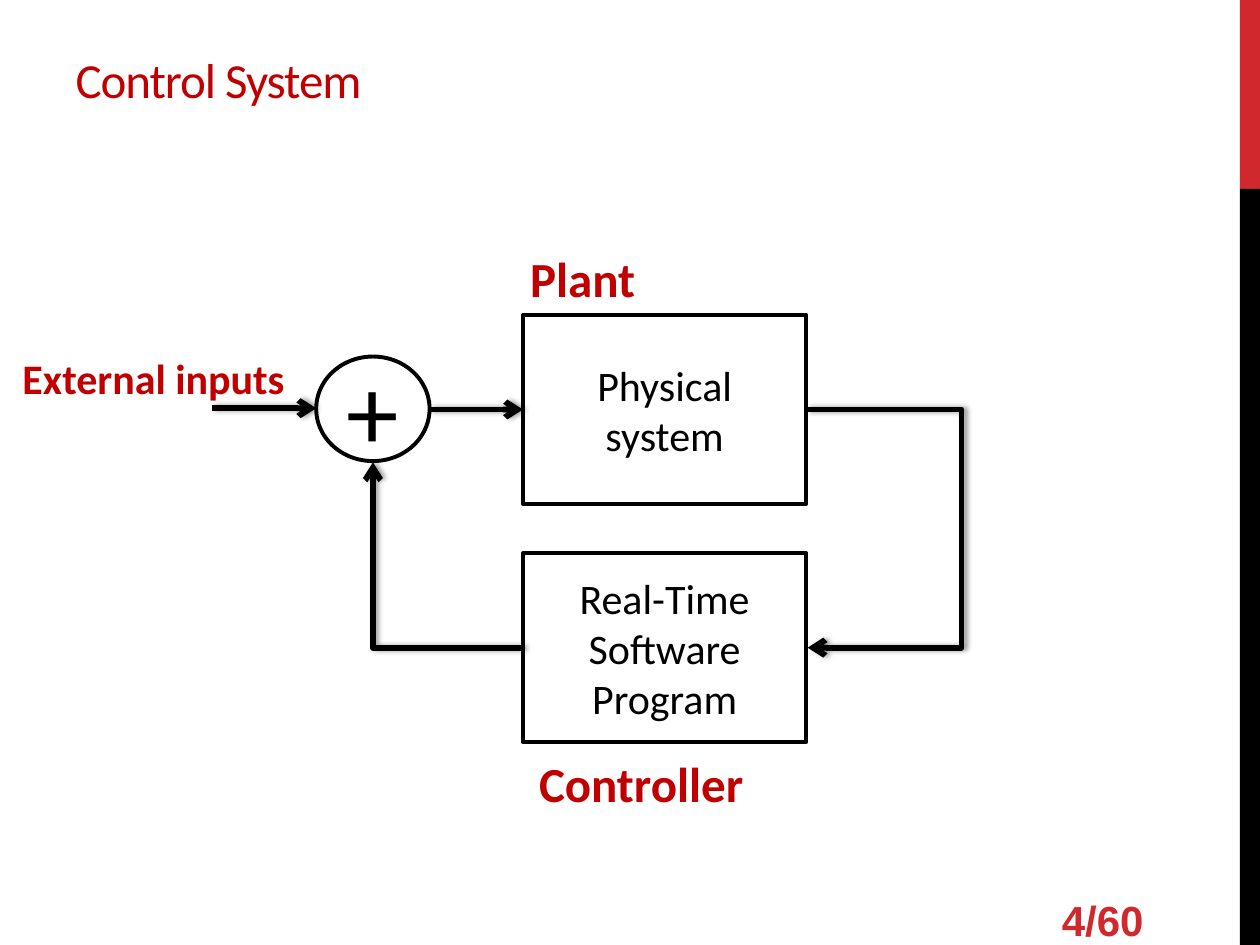
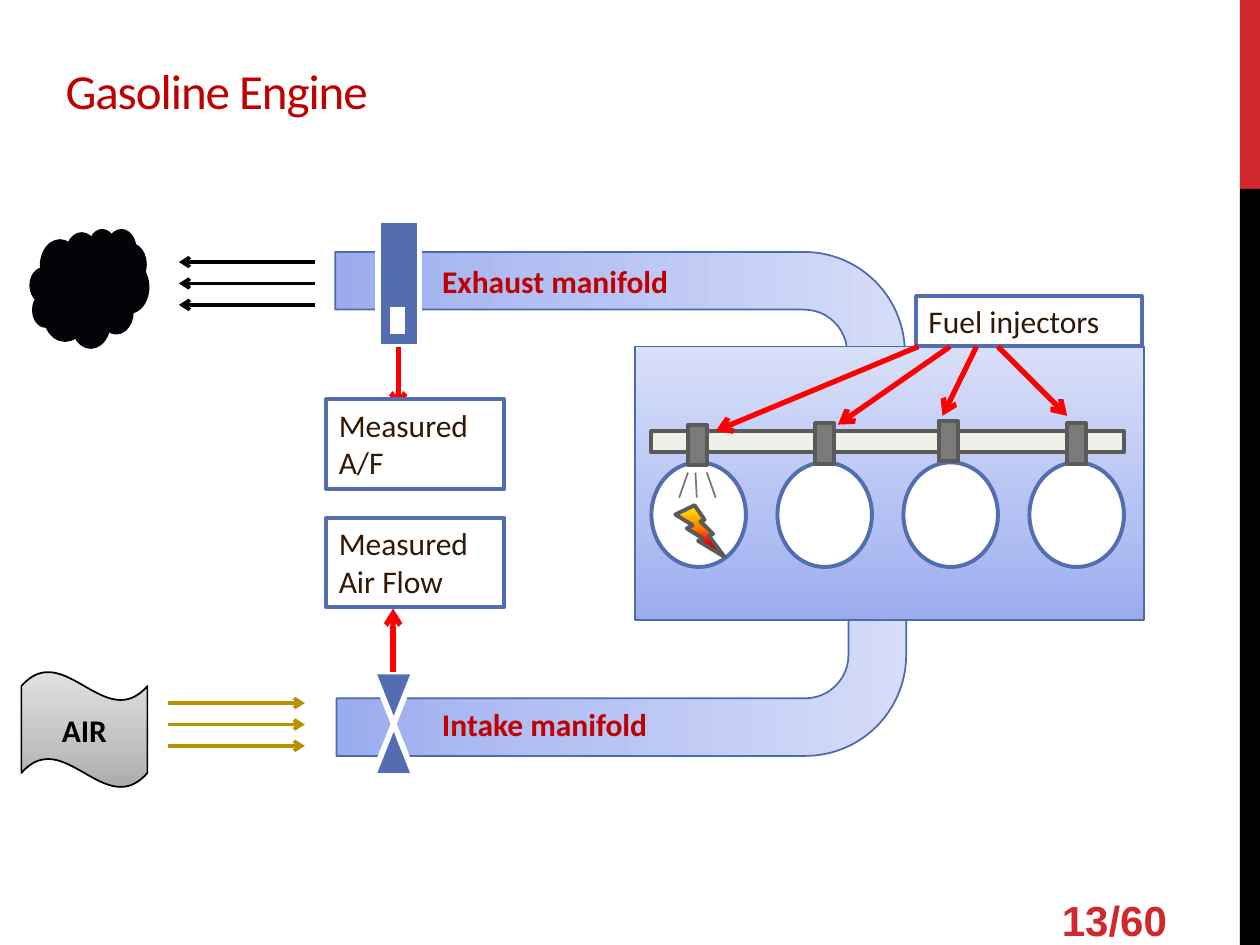
from lxml import etree
from pptx import Presentation
from pptx.dml.color import RGBColor
from pptx.enum.shapes import MSO_CONNECTOR, MSO_SHAPE
from pptx.enum.text import MSO_ANCHOR, MSO_AUTO_SIZE, PP_ALIGN
from pptx.oxml.ns import qn
from pptx.util import Pt

PX = 9144
RECT, OVAL = MSO_SHAPE.RECTANGLE, MSO_SHAPE.OVAL
BENT_ARROW, BOLT = MSO_SHAPE.BENT_ARROW, MSO_SHAPE.LIGHTNING_BOLT
COLLATE, CLOUD, WAVE = MSO_SHAPE.FLOWCHART_COLLATE, MSO_SHAPE.CLOUD, MSO_SHAPE.WAVE
STRAIGHT, ELBOW = MSO_CONNECTOR.STRAIGHT, MSO_CONNECTOR.ELBOW
TOP, MIDDLE, BOTTOM = MSO_ANCHOR.TOP, MSO_ANCHOR.MIDDLE, MSO_ANCHOR.BOTTOM
LEFT, CENTER = PP_ALIGN.LEFT, PP_ALIGN.CENTER
FIXED, GROW = MSO_AUTO_SIZE.NONE, MSO_AUTO_SIZE.SHAPE_TO_FIT_TEXT

COLORS = {
    "white": "FFFFFF", "black": "000000", "band": "D1282E", "heading": "C00000",
    "steel": "526DB0", "pipe": "4E6AAE", "smoke": "020306", "air": "B89101",
    "signal": "FF0000", "note": "341806", "rail": "F0F0E9", "metal": "7A7A7A",
    "edge": "5A5A5A", "spray": "777777",
}
PIPE_FADE = [(0, "9AACED"), (35, "B2C0F3"), (100, "D8DFF9")]
AIR_FADE = [(0, "ABABAB"), (35, "C1C1C1"), (100, "E1E1E1")]
FIRE_FADE = [(0, "FFF200"), (45, "FF7A00"), (70, "FF0300"), (100, "4D0808")]


def rgb(name):
    """Return the named colour."""
    return RGBColor.from_string(COLORS[name])


def write(frame, text, size, color, bold=False, font="Calibri", align=LEFT, anchor=TOP):
    """Fill a text frame with one formatted paragraph."""
    frame.text = text
    frame.vertical_anchor = anchor
    paragraph = frame.paragraphs[0]
    paragraph.alignment = align
    for run in paragraph.runs:
        run.font.name, run.font.size, run.font.bold = font, Pt(size), bold
        run.font.color.rgb = rgb(color)


def fade(shape, stops, angle):
    """Give a shape a linear gradient; the angle runs counter-clockwise."""
    shape.fill.gradient()
    shape.fill.gradient_angle = angle
    stop_list = next(shape.element.iter(qn("a:gsLst")))
    for stop in list(stop_list):
        stop_list.remove(stop)
    for position, color in stops:
        stop = etree.SubElement(stop_list, qn("a:gs"), pos=str(position * 1000))
        etree.SubElement(stop, qn("a:srgbClr"), val=color)


class Region:
    """A part of a slide whose contents are placed from its top left corner."""

    def __init__(self, shapes, left, top):
        """Remember the shape collection and the corner."""
        self.shapes, self.left, self.top = shapes, left, top

    def emu(self, x, y):
        """Turn a point of the region into slide units."""
        return (self.left + x) * PX, (self.top + y) * PX

    def group(self):
        """Return a grouped region with the same corner."""
        return Region(self.shapes.add_group_shape().shapes, self.left, self.top)

    def block(self, kind, x, y, w, h, fill=None, line=None, width=2.25):
        """Draw a preset shape."""
        shape = self.shapes.add_shape(kind, *self.emu(x, y), w * PX, h * PX)
        shape.shadow.inherit = False
        if fill:
            shape.fill.solid()
            shape.fill.fore_color.rgb = rgb(fill)
        if line:
            shape.line.color.rgb = rgb(line)
            shape.line.width = Pt(width)
        else:
            shape.line.fill.background()
        return shape

    def label(self, text, x, y, w, h, size):
        """Write a bold red label on one line."""
        frame = self.shapes.add_textbox(*self.emu(x, y), w * PX, h * PX).text_frame
        frame.word_wrap = False
        frame.auto_size = GROW
        write(frame, text, size, "heading", bold=True)

    def note(self, text, x, y, w, h):
        """Draw a framed note."""
        frame = self.block(RECT, x, y, w, h, "white", "steel").text_frame
        frame.word_wrap = True
        write(frame, text, 18, "note")

    def line(self, start, end, color, width, arrow=True, kind=STRAIGHT, shadow=False):
        """Draw a connector, with an arrowhead at its end if wanted."""
        wire = self.shapes.add_connector(kind, *self.emu(*start), *self.emu(*end))
        wire.line.color.rgb = rgb(color)
        wire.line.width = Pt(width)
        properties = wire.element.spPr
        if arrow:
            etree.SubElement(properties.find(qn("a:ln")), qn("a:tailEnd"), type="arrow")
        effects = etree.SubElement(properties, qn("a:effectLst"))
        if shadow:
            cast = etree.SubElement(effects, qn("a:outerShdw"), blurRad="39370",
                                    dist="22860", dir="0", rotWithShape="0")
            black = etree.SubElement(cast, qn("a:srgbClr"), val=COLORS["black"])
            etree.SubElement(black, qn("a:alpha"), val="40000")
        return wire


def add_bands(slide):
    """Put the red and black side bands on the layout of the slide."""
    side = Region(slide.shapes, 984, 0)
    for top, height, color in ((0, 150, "band"), (150, 600, "black")):
        band = side.block(RECT, 0, top, 16, height, color)
        slide.slide_layout.shapes.element.append(band.element)


def start_slide(deck, heading, left, height, page):
    """Add a slide with its title and page count."""
    slide = deck.slides.add_slide(deck.slide_layouts[5])
    title = slide.shapes.title
    title.left, title.top, title.width, title.height = (
        n * PX for n in (left, 33, 633, height))
    title.text_frame.auto_size = FIXED
    write(title.text_frame, heading, 28, "heading", anchor=BOTTOM)
    for properties in title.element.iter(qn("a:rPr")):
        properties.set("spc", "-60")
    count = slide.shapes.add_textbox(833 * PX, 710 * PX, 144 * PX, 40 * PX).text_frame
    count.word_wrap = True
    write(count, f"{page}/60", 24, "band", bold=True, font="Arial", anchor=MIDDLE)
    return slide


def control_loop(shapes, left, top):
    """Draw the feedback loop of plant and controller."""
    loop = Region(shapes, left, top)
    for kind, text, size, box in (
            (RECT, "Real-Time Software Program", 24, (407, 247, 225, 150)),
            (RECT, "Physical system", 24, (407, 58, 225, 150)),
            (OVAL, "+", 60, (243, 91, 90, 83))):
        frame = loop.block(kind, *box, "white", "black").text_frame
        frame.word_wrap = True
        write(frame, text, size, "black", align=CENTER, anchor=MIDDLE)

    def wire(start, end, kind=STRAIGHT):
        return loop.line(start, end, "black", 3.25, kind=kind, shadow=True)

    wire((160, 132), (243, 132))
    wire((333, 133), (407, 133))
    output = wire((632, 133), (633, 322), ELBOW)
    adjustments = next(output.element.iter(qn("a:avLst")))
    etree.SubElement(adjustments, qn("a:gd"), name="adj1", fmla="val 12500000")
    feedback = wire((288, 175), (407, 322), ELBOW)
    feedback.element.spPr.find(qn("a:xfrm")).set("rot", "10800000")
    next(feedback.element.iter(qn("a:prstGeom"))).set("prst", "bentConnector2")

    loop.label("Plant", 403, 0, 105, 57, 28)
    loop.label("Controller", 410, 401, 184, 57, 28)
    loop.label("External inputs", 0, 83, 231, 50, 24)


def manifold(shapes, left, top, rotation, flipped=False):
    """Draw one bent pipe."""
    pipe = Region(shapes, left, top).block(BENT_ARROW, 0, 0, 183, 475, line="pipe", width=1)
    fade(pipe, PIPE_FADE, 90)
    pipe.rotation = rotation
    if flipped:
        pipe.element.spPr.find(qn("a:xfrm")).set("flipV", "1")


def engine_block(shapes, left, top):
    """Draw the cylinders, the fuel rail and the injectors."""
    engine = Region(shapes, left, top)
    fade(engine.block(RECT, 0, 0, 404, 217, line="pipe", width=1), PIPE_FADE, 90)
    for cylinder in range(4):
        engine.block(OVAL, 13 + 100 * cylinder, 92, 75, 83, "white", "steel")
    fade(engine.block(BOLT, 32, 126, 39, 41, line="edge"), FIRE_FADE, 270)
    engine.block(RECT, 13, 67, 375, 17, "rail", "edge")
    firing = engine.group()
    for part, x, y in ((firing, 42, 62), (engine, 143, 61), (engine, 241, 59), (engine, 343, 61)):
        part.block(RECT, x, y, 15, 32, "metal", "edge")
    for start, end in ((42, 35), (48, 49), (57, 64)):
        firing.line((start, 100), (end, 120), "spray", 1, arrow=False)


def gas_flow(shapes, left, top, start, end, color):
    """Draw three parallel flow arrows."""
    flow = Region(shapes, left, top)
    for row in range(3):
        flow.line((start, 17 * row), (end, 17 * row), color, 2)


def exhaust_sensor(shapes, left, top):
    """Draw the exhaust probe and its reading."""
    sensor = Region(shapes, left, top)
    sensor.block(RECT, 41, 0, 33, 100, "steel", "white", 3.25)
    sensor.line((57, 100), (57, 150), "signal", 3)
    sensor.block(RECT, 49, 67, 15, 25, "white", "steel")
    sensor.label("Exhaust manifold", 82, 28, 201, 40, 18)
    sensor.note("Measured A/F", 0, 142, 141, 71)


def intake_sensor(shapes, left, top):
    """Draw the intake valve and its reading."""
    sensor = Region(shapes, left, top)
    sensor.block(COLLATE, 37, 122, 33, 83, "steel", "white", 3.25)
    sensor.line((53, 122), (53, 72), "signal", 3)
    sensor.label("Intake manifold", 82, 144, 184, 40, 18)
    sensor.note("Measured Air Flow", 0, 0, 141, 71)


def injector_callout(shapes, left, top):
    """Name the injectors and point at each one."""
    callout = Region(shapes, left, top)
    callout.note("Fuel injectors", 0, 0, 179, 40)
    for start, end in ((2, (-159, 107)), (27, (-62, 102)), (48, (21, 95)), (65, (120, 95))):
        callout.line((start, 40), end, "signal", 3)


def outside_gases(shapes, left, top):
    """Draw the exhaust smoke and the incoming air."""
    outside = Region(shapes, left, top)
    outside.block(CLOUD, 8, 0, 92, 92, "smoke", "smoke")
    air = outside.block(WAVE, 0, 350, 100, 92, line="black", width=1)
    fade(air, AIR_FADE, 90)
    write(air.text_frame, "AIR", 18, "black", bold=True, align=CENTER, anchor=MIDDLE)


def main():
    """Build both slides and save them."""
    deck = Presentation()
    deck.slide_width, deck.slide_height = 1000 * PX, 750 * PX

    control = start_slide(deck, "Control System", 50, 58, 4)
    add_bands(control)
    control_loop(control.shapes, 8, 192)

    shapes = start_slide(deck, "Gasoline Engine", 42, 67, 13).shapes
    manifold(shapes, 412, 54, 90)
    manifold(shapes, 413, 271, 270, flipped=True)
    engine_block(shapes, 504, 275)
    gas_flow(shapes, 133, 558, 0, 109, "air")
    gas_flow(shapes, 142, 208, 108, 0, "smoke")
    exhaust_sensor(shapes, 259, 175)
    intake_sensor(shapes, 259, 411)
    injector_callout(shapes, 727, 235)
    outside_gases(shapes, 17, 183)

    deck.save("out.pptx")


if __name__ == "__main__":
    main()
